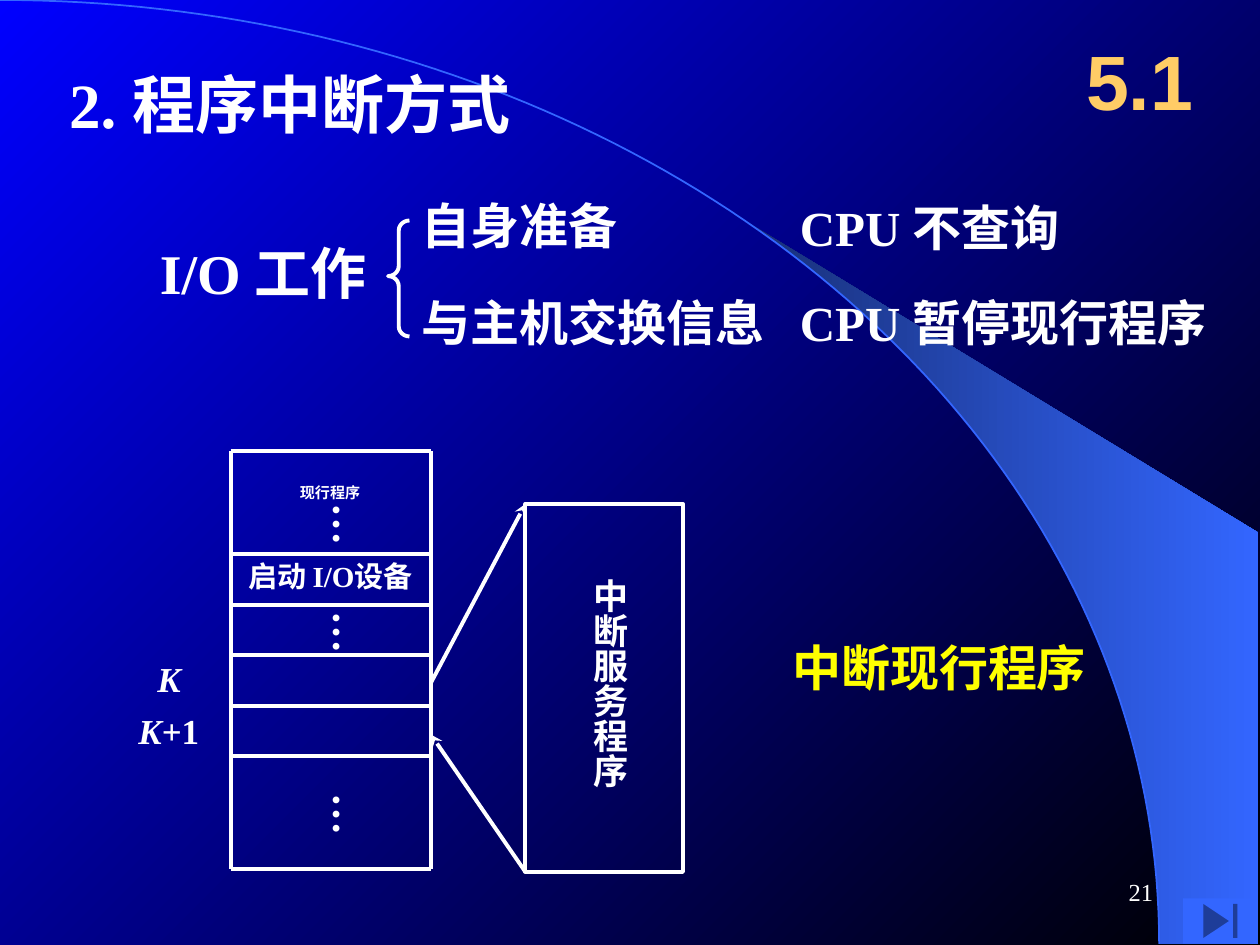
import math

from pptx import Presentation
from pptx.dml.color import RGBColor
from pptx.enum.shapes import MSO_CONNECTOR, MSO_SHAPE
from pptx.enum.text import MSO_ANCHOR, MSO_AUTO_SIZE, PP_ALIGN
from pptx.oxml.ns import qn
from pptx.oxml.xmlchemy import OxmlElement
from pptx.util import Inches, Pt

STRAIGHT = MSO_CONNECTOR.STRAIGHT
RECTANGLE = MSO_SHAPE.RECTANGLE
LEFT_BRACE = MSO_SHAPE.LEFT_BRACE
END_BUTTON = MSO_SHAPE.ACTION_BUTTON_END
TOP, MIDDLE = MSO_ANCHOR.TOP, MSO_ANCHOR.MIDDLE
LEFT, CENTER, RIGHT = PP_ALIGN.LEFT, PP_ALIGN.CENTER, PP_ALIGN.RIGHT
GROW = MSO_AUTO_SIZE.SHAPE_TO_FIT_TEXT

COLORS = {
    "white": "FFFFFF",
    "black": "000000",
    "blue": "0000FF",
    "sky": "3366FF",
    "navy": "182F76",
    "gold": "FFCC66",
    "yellow": "FFFF00",
}
SERIF, SANS = "Times New Roman", "Arial"
HORIZONTAL_INSETS = (0.1, 0.05, 0.1, 0.05)
VERTICAL_INSETS = (0.05, 0.1, 0.05, 0.1)
ARC_WIDTH, ARC_HEIGHT = 9.2, 7.49
OUTLINE = 2.25


def rgb(name):
    return RGBColor.from_string(COLORS[name])


def set_gradient(fill, start, end, angle):
    fill.gradient()
    fill.gradient_angle = angle
    for stop, color in zip(fill.gradient_stops, (start, end)):
        stop.color.rgb = rgb(color)


def arc_points(start_degrees, steps):
    angles = [math.radians(start_degrees + (90 - start_degrees) * i / steps)
              for i in range(steps + 1)]
    return [(ARC_WIDTH * math.sin(a), ARC_HEIGHT * (1 - math.cos(a))) for a in angles]


def add_outline(slide, points, close):
    corners = [(Inches(x), Inches(y)) for x, y in points]
    builder = slide.shapes.build_freeform(*corners[0])
    builder.add_line_segments(corners[1:], close=close)
    outline = builder.convert_to_shape()
    outline.shadow.inherit = False
    return outline


def add_backdrop(slide):
    set_gradient(slide.background.fill, "blue", "black", 315)
    band_start = math.degrees(math.asin(5.89 / ARC_WIDTH))
    band = add_outline(slide, arc_points(band_start, 40) + [(9.99, 7.49), (9.99, 4.23)], True)
    set_gradient(band.fill, "navy", "sky", 0)
    band.line.fill.background()
    arc = add_outline(slide, arc_points(0, 90), False)
    arc.fill.background()
    arc.line.color.rgb = rgb("sky")
    arc.line.width = Pt(1)


def add_text(slide, box, runs, size, color="white", font=SERIF, bold=True, align=LEFT,
             anchor=TOP, insets=HORIZONTAL_INSETS, wrap=True, grow=True, vertical=False):
    frame = slide.shapes.add_textbox(*map(Inches, box)).text_frame
    frame.word_wrap = wrap
    if grow:
        frame.auto_size = GROW
    frame.vertical_anchor = anchor
    (frame.margin_left, frame.margin_top,
     frame.margin_right, frame.margin_bottom) = map(Inches, insets)
    if vertical:
        frame._txBody.bodyPr.set("vert", "eaVert")
    paragraph = frame.paragraphs[0]
    paragraph.alignment = align
    paragraph.font.name = font
    paragraph.font.size = Pt(size)
    paragraph.font.bold = bold
    paragraph.font.color.rgb = rgb(color)
    for text, italic in runs:
        run = paragraph.add_run()
        run.text = text
        if italic:
            run.font.italic = True


def add_label(slide, box, text, size, **options):
    add_text(slide, box, [(text, False)], size, **options)


def add_vertical_label(slide, box, text, size):
    add_label(slide, box, text, size, insets=VERTICAL_INSETS, wrap=False, vertical=True)


def add_line(slide, start, end, arrow=False):
    line = slide.shapes.add_connector(STRAIGHT, *map(Inches, start + end))
    line.line.color.rgb = rgb("white")
    line.line.width = Pt(OUTLINE)
    properties = line.element.spPr
    if arrow:
        head = OxmlElement("a:tailEnd")
        head.set("type", "stealth")
        properties.find(qn("a:ln")).append(head)
    properties.append(OxmlElement("a:effectLst"))


def add_hollow_shape(slide, kind, box):
    shape = slide.shapes.add_shape(kind, *map(Inches, box))
    shape.shadow.inherit = False
    shape.fill.background()
    shape.line.color.rgb = rgb("white")
    shape.line.width = Pt(OUTLINE)
    return shape


def add_heading(slide):
    add_label(slide, (0.45, 0.47, 3.82, 0.7), "2. 程序中断方式", 36, wrap=False)
    add_label(slide, (8.42, 0.17, 1.25, 0.92), "5.1", 44, color="gold", font=SANS,
              align=CENTER, anchor=MIDDLE, grow=False)


def add_work_phases(slide):
    add_label(slide, (1.17, 1.84, 2.25, 0.64), "I/O 工作", 32)
    for box, text in (
        ((3.25, 1.5, 2.1, 0.57), "自身准备"),
        ((3.25, 2.27, 3.6, 0.57), "与主机交换信息"),
        ((6.25, 1.52, 2.93, 0.57), "CPU 不查询"),
        ((6.25, 2.27, 4.18, 0.57), "CPU 暂停现行程序"),
    ):
        add_label(slide, box, text, 28)
    brace = add_hollow_shape(slide, LEFT_BRACE, (3.08, 1.75, 0.17, 0.92))
    brace.adjustments[0] = 0.47
    brace.adjustments[1] = 0.48


def add_current_program(slide):
    left, right, top, bottom = 1.83, 3.42, 3.58, 6.9
    row_lines = [4.4 + 0.4 * i for i in range(5)]
    for y in [top, *row_lines, bottom]:
        add_line(slide, (left, y), (right, y))
    for x in (left, right):
        add_line(slide, (x, top), (x, bottom))
    add_label(slide, (left, 3.71, 1.58, 0.4), "现行程序", 8.6, align=CENTER,
              anchor=MIDDLE, insets=(0.1, 0, 0.1, 0), grow=False)
    add_label(slide, (1.88, 4.37, 1.58, 0.4), "启动 I/O设备", 16.6, align=CENTER,
              anchor=MIDDLE, insets=(0, 0, 0.1, 0), grow=False)
    for y in (3.9, 4.75, 6.2):
        add_vertical_label(slide, (2.43, y, 0.6, 0.44), "…", 24)
    add_text(slide, (1.15, 5.17, 0.38, 0.44), [("K", True)], 20, wrap=False)
    add_text(slide, (1, 5.58, 0.8, 0.44), [("K", True), ("+1", False)], 20)


def add_service_program(slide):
    add_hollow_shape(slide, RECTANGLE, (4.17, 4, 1.25, 2.92))
    add_vertical_label(slide, (4.53, 4.49, 0.53, 1.77), "中断服务程序", 20)
    add_line(slide, (3.42, 5.42), (4.17, 4), arrow=True)
    add_line(slide, (4.17, 6.92), (3.42, 5.83), arrow=True)
    add_label(slide, (6.19, 5.01, 2.53, 0.57), "中断现行程序", 28, color="yellow", wrap=False)


def add_footer(slide):
    button = slide.shapes.add_shape(END_BUTTON, *map(Inches, (9.39, 7.13, 0.59, 0.36)))
    button.shadow.inherit = False
    button.fill.solid()
    button.fill.fore_color.rgb = rgb("sky")
    button.line.fill.background()
    add_label(slide, (7.17, 6.83, 2.08, 0.5), "21", 14, bold=False, align=RIGHT,
              anchor=MIDDLE, grow=False)


def main():
    presentation = Presentation()
    presentation.slide_width = Inches(10)
    presentation.slide_height = Inches(7.5)
    slide = presentation.slides.add_slide(presentation.slide_layouts[6])
    add_backdrop(slide)
    add_heading(slide)
    add_work_phases(slide)
    add_current_program(slide)
    add_service_program(slide)
    add_footer(slide)
    presentation.save("out.pptx")


if __name__ == "__main__":
    main()
